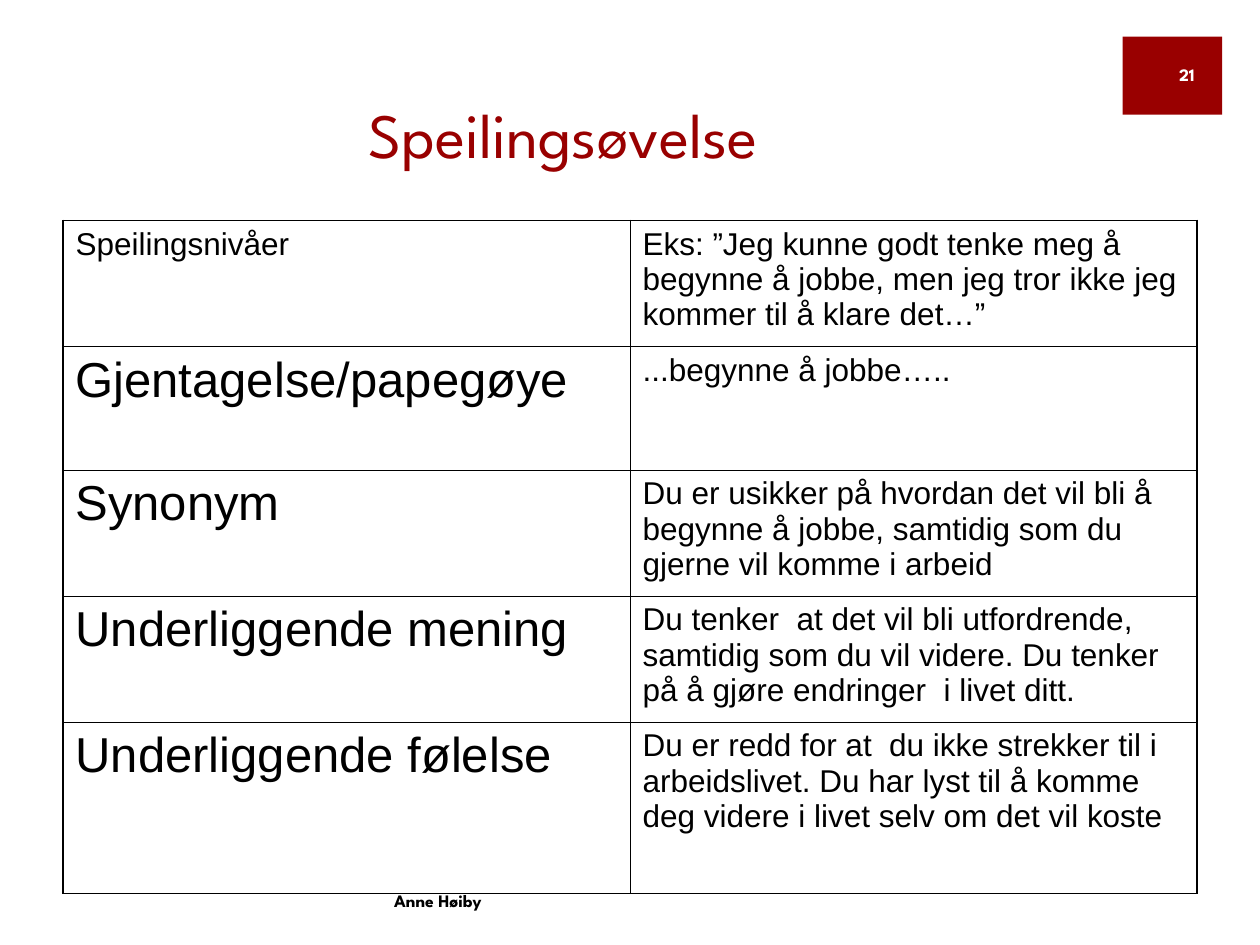
from lxml import etree
from pptx import Presentation
from pptx.dml.color import RGBColor
from pptx.enum.shapes import MSO_SHAPE
from pptx.enum.text import MSO_ANCHOR, MSO_AUTO_SIZE, PP_ALIGN
from pptx.oxml.ns import qn
from pptx.util import Inches, Pt

RECTANGLE = MSO_SHAPE.RECTANGLE
MIDDLE, BOTTOM = MSO_ANCHOR.MIDDLE, MSO_ANCHOR.BOTTOM
CENTER, RIGHT = PP_ALIGN.CENTER, PP_ALIGN.RIGHT
NO_AUTOFIT = MSO_AUTO_SIZE.NONE
RED = RGBColor(0x99, 0x00, 0x00)
BLACK = RGBColor(0x00, 0x00, 0x00)
WHITE = RGBColor(0xFF, 0xFF, 0xFF)
HEADING_FONT, BODY_FONT = "League Spartan", "Arial"
SMALL, LARGE = 18, 28
THIN, THICK = Pt(0.45), Pt(1.08)
ROW_HEIGHTS = (1, 0.98, 1, 1, 1.36)
LEVELS = [
    ("Speilingsnivåer",
     "Eks: ”Jeg kunne godt tenke meg å begynne å jobbe, men jeg tror ikke jeg kommer til å klare det…”"),
    ("Gjentagelse/papegøye", "...begynne å jobbe….."),
    ("Synonym",
     "Du er usikker på hvordan det vil bli å begynne å jobbe, samtidig som du gjerne vil komme i arbeid"),
    ("Underliggende mening",
     "Du tenker  at det vil bli utfordrende, samtidig som du vil videre. "
     "Du tenker på å gjøre endringer  i livet ditt."),
    ("Underliggende følelse",
     "Du er redd for at  du ikke strekker til i arbeidslivet. "
     "Du har lyst til å komme deg videre i livet selv om det vil koste"),
]


def write(frame, wording, font_name, size, color, align=None, bold=False):
    """Put one formatted paragraph in a text frame."""
    frame.text = wording
    frame.word_wrap = True
    paragraph = frame.paragraphs[0]
    paragraph.alignment = align
    font = paragraph.runs[0].font
    font.name, font.size, font.bold = font_name, Pt(size), bold
    font.color.rgb = color


def add_title(slide, wording):
    """Fill and place the title placeholder."""
    title = slide.shapes.title
    title.left, title.top = Inches(1.33), Inches(0.58)
    title.width, title.height = Inches(6.28), Inches(0.83)
    write(title.text_frame, wording, HEADING_FONT, 36, RED, CENTER)
    title.text_frame.auto_size = NO_AUTOFIT
    title.text_frame.vertical_anchor = BOTTOM


def add_label(slide, wording, left, top, width, color, align):
    """Add a small bold label such as the footer or the page number."""
    label = slide.shapes.add_textbox(Inches(left), Inches(top), Inches(width), Inches(0.4))
    write(label.text_frame, wording, HEADING_FONT, 10, color, align, bold=True)
    label.text_frame.vertical_anchor = MIDDLE


def add_page_block(slide):
    """Add the red block behind the page number."""
    block = slide.shapes.add_shape(
        RECTANGLE, Inches(8.91), Inches(0.29), Inches(0.79), Inches(0.62))
    block.shadow.inherit = False
    block.fill.solid()
    block.fill.fore_color.rgb = RED
    block.line.fill.background()


def set_borders(cell, widths):
    """Draw the cell's left, right, top and bottom borders in black."""
    properties = cell._tc.get_or_add_tcPr()
    for position, (side, width) in enumerate(zip("LRTB", widths)):
        border = etree.Element(qn(f"a:ln{side}"), w=str(int(width)))
        fill = etree.SubElement(border, qn("a:solidFill"))
        etree.SubElement(fill, qn("a:srgbClr"), val=str(BLACK))
        properties.insert(position, border)


def add_levels_table(slide):
    """Add the mirroring levels with their examples."""
    last_row, last_column = len(LEVELS) - 1, 1
    table = slide.shapes.add_table(
        len(LEVELS), 2, Inches(0.5), Inches(1.75), Inches(9), Inches(sum(ROW_HEIGHTS))).table
    table.first_row = table.horz_banding = False
    for row, (height, wordings) in enumerate(zip(ROW_HEIGHTS, LEVELS)):
        table.rows[row].height = Inches(height)
        for column, wording in enumerate(wordings):
            cell = table.cell(row, column)
            size = LARGE if row > 0 and column == 0 else SMALL
            write(cell.text_frame, wording, BODY_FONT, size, BLACK)
            cell.fill.background()
            on_edge = (column == 0, column == last_column, row == 0, row == last_row)
            set_borders(cell, [THICK if edge else THIN for edge in on_edge])


def main():
    """Build and save the slide."""
    deck = Presentation()
    deck.slide_width, deck.slide_height = Inches(10), Inches(7.5)
    slide = deck.slides.add_slide(deck.slide_layouts[5])
    add_page_block(slide)
    add_label(slide, "Anne Høiby", 0.19, 6.95, 6.57, BLACK, CENTER)
    add_title(slide, "Speilingsøvelse")
    add_levels_table(slide)
    add_label(slide, "21", 9.03, 0.39, 0.55, WHITE, RIGHT)
    deck.save("out.pptx")


if __name__ == "__main__":
    main()
